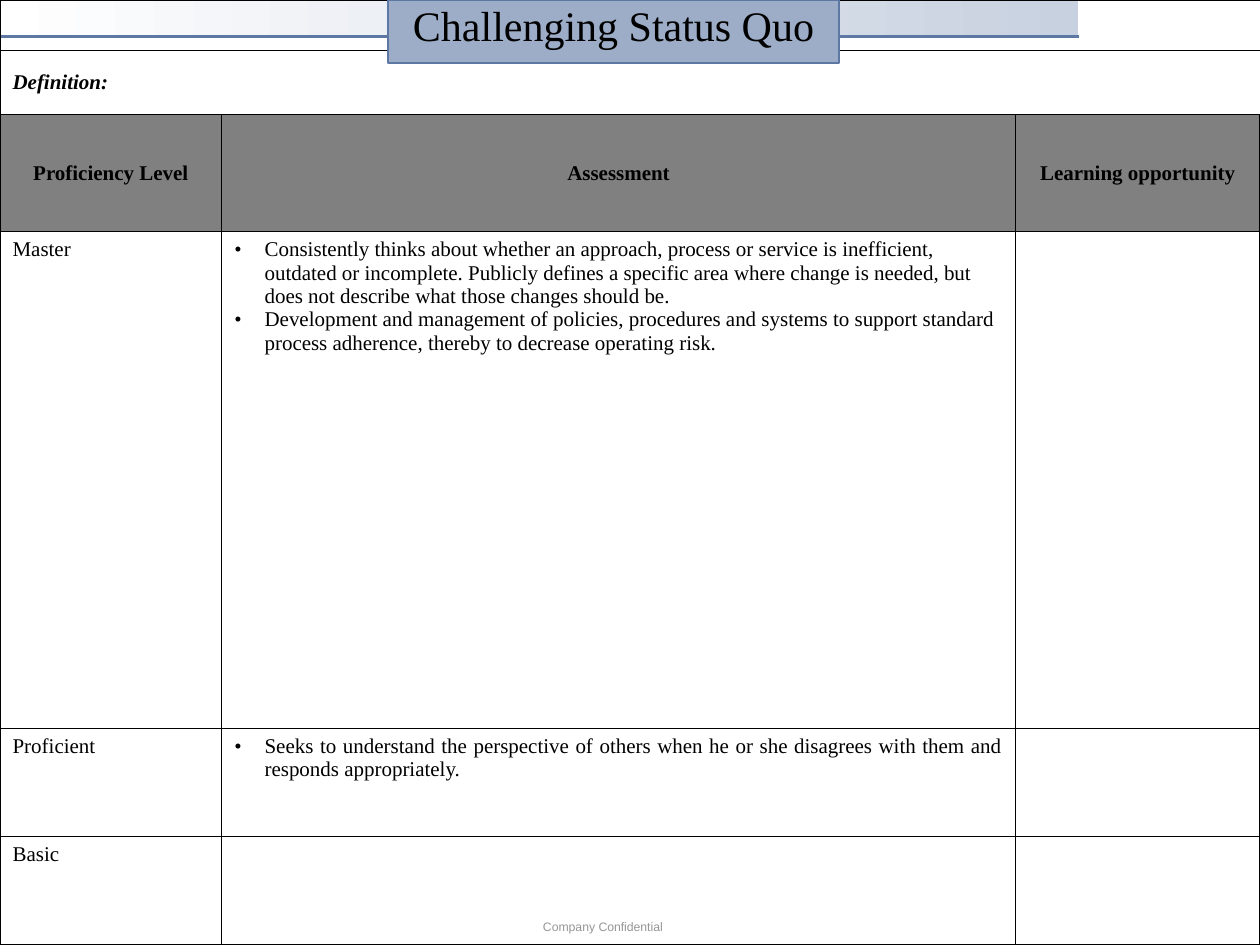
from lxml.etree import SubElement
from pptx import Presentation
from pptx.dml.color import RGBColor
from pptx.enum.shapes import MSO_CONNECTOR, MSO_SHAPE
from pptx.enum.text import MSO_ANCHOR, PP_ALIGN
from pptx.oxml.ns import qn
from pptx.util import Inches, Pt

COLORS = {"white": "FFFFFF", "ink": "000000", "header": "808080", "title": "9DADC7",
          "rule": "5D78A3", "band": "C8D1E0", "footer": "969696"}
SERIF, SANS = "Times New Roman", "Arial"
WIDTH, HEIGHT = 10, 7.5
COLUMNS = [1.76, 6.3, 1.94]
ROWS = [0.4, 0.51, 0.93, 3.94, 0.86, 0.86]
FULL_ROWS, HEADER_ROW = 2, 2
OUTER, INNER = 1.08, 0.45  # border widths in points

HEADINGS = ["Proficiency Level", "Assessment", "Learning opportunity"]
LEVELS = [
    ("Master", [
        "Consistently thinks about whether an approach, process or service is inefficient, "
        "outdated or incomplete. Publicly defines a specific area where change is needed, "
        "but does not describe what those changes should be.",
        "Development and management of policies, procedures and systems to support standard "
        "process adherence, thereby to decrease operating risk."], PP_ALIGN.LEFT),
    ("Proficient", [
        "Seeks to understand the perspective of others when he or she disagrees with them "
        "and responds appropriately."], PP_ALIGN.JUSTIFY),
    ("Basic", [], PP_ALIGN.LEFT),
]


def color(name):
    return RGBColor.from_string(COLORS[name])


def inches(box):
    return [Inches(length) for length in box]


def set_font(paragraph, name, size, ink="ink", bold=False, italic=False):
    font = paragraph.font
    font.name, font.size, font.bold, font.italic = name, Pt(size), bold, italic
    font.color.rgb = color(ink)


def add_bullet(paragraph, indent=0.24):
    properties = paragraph._p.get_or_add_pPr()
    properties.set("marL", str(Inches(indent)))
    properties.set("indent", str(-Inches(indent)))
    SubElement(properties, qn("a:buFont"), typeface=SERIF)
    SubElement(properties, qn("a:buChar"), char="•")


def set_borders(cell, widths):
    properties = cell._tc.get_or_add_tcPr()
    for side, width in widths.items():
        line = SubElement(properties, qn(f"a:ln{side}"), w=str(Pt(width)))
        fill = SubElement(line, qn("a:solidFill"))
        SubElement(fill, qn("a:srgbClr"), val=COLORS["ink"])


def write_cell(cell, lines, align=PP_ALIGN.LEFT, bullets=False, bold=False, italic=False):
    cell.margin_left = cell.margin_right = Inches(0.1)
    cell.margin_top = cell.margin_bottom = Inches(0.05)
    frame = cell.text_frame
    for index, line in enumerate(lines):
        paragraph = frame.add_paragraph() if index else frame.paragraphs[0]
        paragraph.text = line
        paragraph.alignment = align
        if bullets:
            add_bullet(paragraph)
        set_font(paragraph, SERIF, 12, bold=bold, italic=italic)


def add_band(slide, left, top, width, height):
    band = slide.shapes.add_shape(MSO_SHAPE.RECTANGLE, *inches((left, top, width, height)))
    band.shadow.inherit = False
    band.line.fill.background()
    band.fill.gradient()
    band.fill.gradient_angle = 0
    for stop, name in zip(band.fill.gradient_stops, ("white", "band")):
        stop.color.rgb = color(name)
    # Rule along the foot of the band
    foot = top + height - 0.01
    rule = slide.shapes.add_connector(
        MSO_CONNECTOR.STRAIGHT, *inches((left, foot, left + width, foot)))
    rule.line.color.rgb = color("rule")
    rule.line.width = Pt(2.25)
    SubElement(rule._element.spPr, qn("a:effectLst"))


def add_footer(slide, left, top, width, height):
    frame = slide.shapes.add_textbox(*inches((left, top, width, height))).text_frame
    frame.word_wrap = True
    frame.margin_left = frame.margin_right = Inches(0.11)
    paragraph = frame.paragraphs[0]
    paragraph.text = "Company Confidential"
    set_font(paragraph, SANS, 7, "footer")


def add_matrix(slide, left, top, width, height):
    table = slide.shapes.add_table(
        len(ROWS), len(COLUMNS), *inches((left, top, width, height))).table
    table.first_row = table.horz_banding = False
    for column, share in zip(table.columns, COLUMNS):
        column.width = Inches(width * share / sum(COLUMNS))
    for row, share in zip(table.rows, ROWS):
        row.height = Inches(height * share / sum(ROWS))

    # Borders and fills
    last_row, last_column = len(ROWS) - 1, len(COLUMNS) - 1
    for r in range(len(ROWS)):
        for c in range(len(COLUMNS)):
            cell = table.cell(r, c)
            cell.margin_top = cell.margin_bottom = 0
            set_borders(cell, {
                "L": INNER if c else OUTER,
                "R": OUTER if c == last_column else INNER,
                "T": INNER if r else OUTER,
                "B": OUTER if r == last_row else INNER})
            if r == HEADER_ROW:
                cell.fill.solid()
                cell.fill.fore_color.rgb = color("header")
            else:
                cell.fill.background()
    for r in range(FULL_ROWS):
        table.cell(r, 0).merge(table.cell(r, last_column))

    # Definition and headings
    definition = table.cell(1, 0)
    write_cell(definition, ["Definition:"], PP_ALIGN.JUSTIFY, bold=True, italic=True)
    definition.vertical_anchor = MSO_ANCHOR.MIDDLE
    for c, heading in enumerate(HEADINGS):
        cell = table.cell(HEADER_ROW, c)
        write_cell(cell, [heading], PP_ALIGN.CENTER, bold=True)
        cell.vertical_anchor = MSO_ANCHOR.MIDDLE

    # Proficiency levels
    for r, (level, points, align) in enumerate(LEVELS, HEADER_ROW + 1):
        write_cell(table.cell(r, 0), [level])
        write_cell(table.cell(r, 1), points, align, bullets=True)


def add_title(slide, left, top, width, height):
    title = slide.shapes.add_shape(MSO_SHAPE.RECTANGLE, *inches((left, top, width, height)))
    title.shadow.inherit = False
    title.fill.solid()
    title.fill.fore_color.rgb = color("title")
    title.line.color.rgb = color("rule")
    title.line.width = Pt(1)
    frame = title.text_frame
    frame.word_wrap = False
    frame.vertical_anchor = MSO_ANCHOR.TOP
    frame.margin_left = frame.margin_right = frame.margin_top = frame.margin_bottom = 0
    paragraph = frame.paragraphs[0]
    paragraph.text = "Challenging Status Quo"
    paragraph.alignment = PP_ALIGN.CENTER
    set_font(paragraph, SERIF, 24)


def main():
    presentation = Presentation()
    presentation.slide_width, presentation.slide_height = inches((WIDTH, HEIGHT))
    slide = presentation.slides.add_slide(presentation.slide_layouts[6])
    add_band(slide, 0, 0, WIDTH * 0.856, HEIGHT * 0.04)
    add_footer(slide, WIDTH * 0.42, HEIGHT - 0.25, WIDTH * 0.16, 0.22)
    add_matrix(slide, 0, 0, WIDTH, HEIGHT)
    add_title(slide, WIDTH * 0.308, 0, WIDTH * 0.358, HEIGHT / 15)
    presentation.save("out.pptx")


if __name__ == "__main__":
    main()
